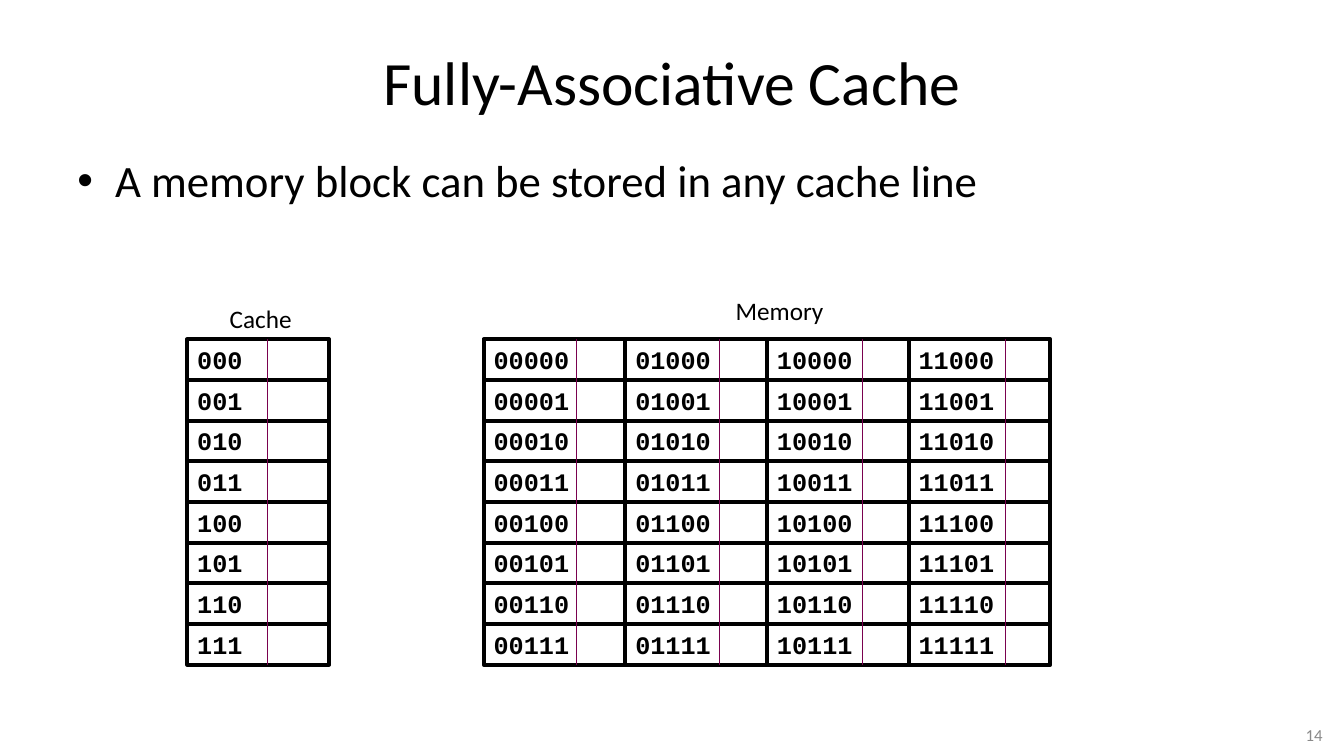
"""Build the slide on the fully-associative cache."""
from lxml import etree
from pptx import Presentation
from pptx import util as u
from pptx.dml.color import RGBColor
from pptx.enum import shapes, text
from pptx.oxml.ns import qn

BLACK, GREY, PLUM = "000000", "898989", "7A014F"
ROWS = 8
GRID_TOP, CELL_WIDTH, CELL_HEIGHT = 8.55, 3.57, 1.025
CACHE_LEFT, MEMORY_LEFT = 4.72, 12.19
CACHE_DIVIDER, MEMORY_DIVIDER, DIVIDER_STEP = 6.73, 14.53, 3.6


def colour(value):
    """Turn a hex string into a colour."""
    return RGBColor.from_string(value)


def write(shape, wording, size, font="Calibri", ink=BLACK, bold=False,
          align=text.PP_ALIGN.LEFT, anchor=text.MSO_ANCHOR.TOP):
    """Put one formatted paragraph into a shape and return it."""
    frame = shape.text_frame
    frame.word_wrap = True
    frame.vertical_anchor = anchor
    para = frame.paragraphs[0]
    para.text = wording
    para.alignment = align
    para.font.size = u.Pt(size)
    para.font.name = font
    para.font.bold = bold
    para.font.color.rgb = colour(ink)
    return para


def add_title(page, wording):
    """Place and fill the title placeholder."""
    title = page.shapes.title
    title.left, title.top = u.Cm(1.7), u.Cm(0.76)
    title.width, title.height = u.Cm(30.48), u.Cm(2.57)
    write(title, wording, 44, align=text.PP_ALIGN.CENTER,
          anchor=text.MSO_ANCHOR.MIDDLE)


def add_label(page, left, top, width, height, wording, size, **style):
    """Add a text box and return its paragraph."""
    box = page.shapes.add_textbox(u.Cm(left), u.Cm(top), u.Cm(width), u.Cm(height))
    return write(box, wording, size, **style)


def add_bullet(para):
    """Give a paragraph a hanging bullet."""
    para.space_before = u.Pt(6.4)
    properties = para._p.get_or_add_pPr()
    properties.set("marL", str(u.Cm(0.95)))
    properties.set("indent", str(u.Cm(-0.95)))
    bullet_font = etree.Element(qn("a:buFont"), typeface="Arial")
    bullet = etree.Element(qn("a:buChar"), char="•")
    spacing = properties.find(qn("a:spcBef"))
    spacing.addnext(bullet_font)
    bullet_font.addnext(bullet)


def add_cell(page, left, top, address):
    """Add one outlined cell that shows a binary address."""
    cell = page.shapes.add_shape(shapes.MSO_SHAPE.RECTANGLE, u.Cm(left), u.Cm(top),
                                 u.Cm(CELL_WIDTH), u.Cm(CELL_HEIGHT))
    cell.shadow.inherit = False
    cell.fill.background()
    cell.line.color.rgb = colour(BLACK)
    cell.line.width = u.Pt(3)
    write(cell, address, 18, font="Courier New", bold=True)


def add_grid(page, left, columns, digits):
    """Add columns of cells, numbered downwards in binary."""
    for number in range(columns * ROWS):
        column, row = divmod(number, ROWS)
        add_cell(page, left + column * CELL_WIDTH, GRID_TOP + row * CELL_HEIGHT,
                 f"{number:0{digits}b}")


def add_divider(page, x):
    """Add a thin vertical line through a column of cells."""
    line = page.shapes.add_connector(
        shapes.MSO_CONNECTOR.STRAIGHT, u.Cm(x), u.Cm(GRID_TOP),
        u.Cm(x), u.Cm(GRID_TOP + ROWS * CELL_HEIGHT))
    line.line.color.rgb = colour(PLUM)
    line.line.width = u.Pt(0.75)
    etree.SubElement(line._element.spPr, qn("a:effectLst"))


def main():
    """Build and save the deck."""
    deck = Presentation()
    deck.slide_width, deck.slide_height = u.Cm(33.87), u.Cm(19.05)
    page = deck.slides.add_slide(deck.slide_layouts[5])

    add_title(page, "Fully-Associative Cache")
    add_bullet(add_label(page, 1.7, 3.73, 30.48, 14,
                         "A memory block can be stored in any cache line", 32))
    add_label(page, 29.95, 18.14, 3.63, 0.74, "14", 12, ink=GREY,
              align=text.PP_ALIGN.RIGHT, anchor=text.MSO_ANCHOR.MIDDLE)

    add_grid(page, CACHE_LEFT, columns=1, digits=3)
    add_grid(page, MEMORY_LEFT, columns=4, digits=5)
    add_label(page, 5.54, 7.52, 2.2, 1.02, "Cache", 18)
    add_label(page, 18.29, 7.32, 2.9, 1.02, "Memory", 18)

    for column in range(4):
        add_divider(page, MEMORY_DIVIDER + column * DIVIDER_STEP)
    add_divider(page, CACHE_DIVIDER)

    deck.save("out.pptx")


if __name__ == "__main__":
    main()
